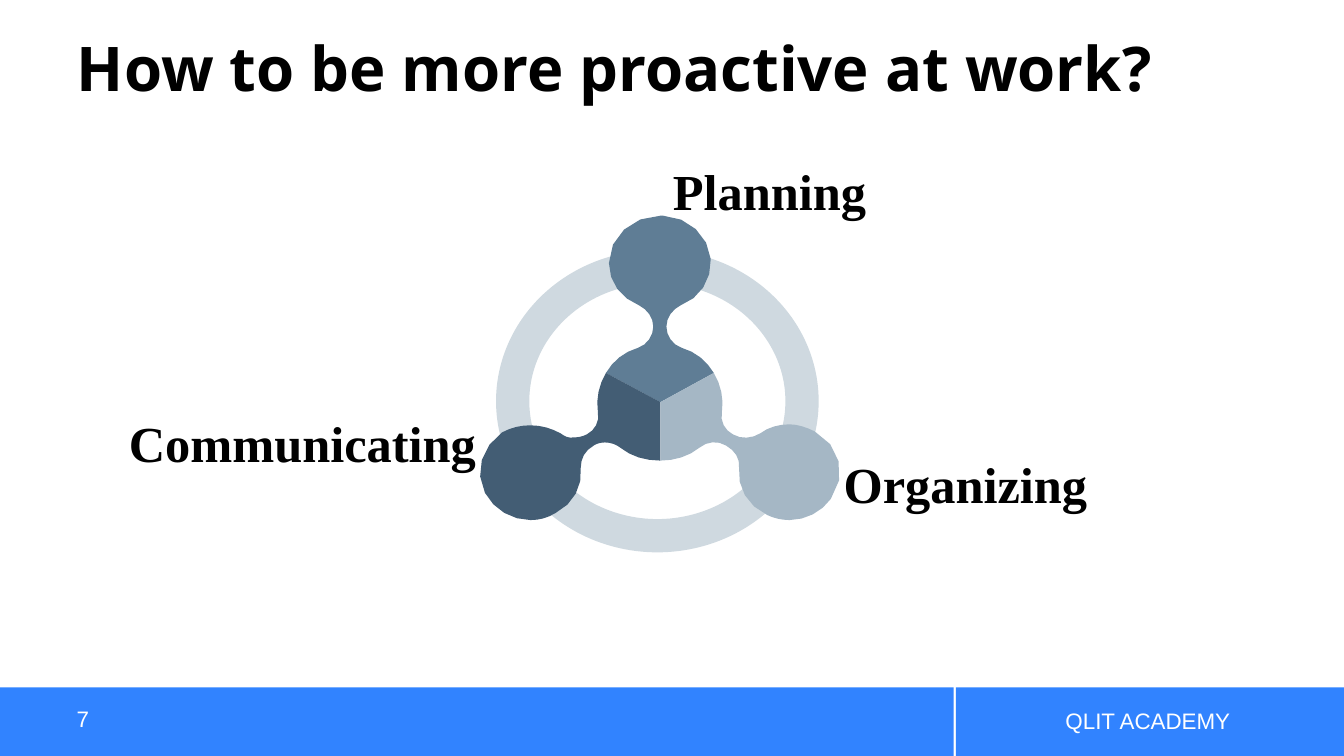
from pptx import Presentation
from pptx.dml.color import RGBColor
from pptx.enum.shapes import MSO_SHAPE
from pptx.enum.text import MSO_ANCHOR, PP_ALIGN
from pptx.util import Inches, Pt

BLUE = RGBColor(0x31, 0x83, 0xFF)
WHITE = RGBColor(0xFF, 0xFF, 0xFF)
BLACK = RGBColor(0, 0, 0)
RING = RGBColor(0xCF, 0xD9, 0xE0)
STEEL = RGBColor(0x5F, 0x7D, 0x95)
NAVY = RGBColor(0x43, 0x5D, 0x74)
MIST = RGBColor(0xA5, 0xB7, 0xC5)
STEPS = 4  # straight pieces per curve


def paint(sp, color):
    sp.shadow.inherit = False
    sp.fill.solid()
    sp.fill.fore_color.rgb = color
    sp.line.fill.background()


def add_text(box, text, size, font, color, align, bold=False, anchor=MSO_ANCHOR.TOP,
             inset=True, spacing=1.0):
    tf = s.shapes.add_textbox(*map(Inches, box)).text_frame
    tf.word_wrap = True
    tf.vertical_anchor = anchor
    if not inset:
        tf.margin_left = tf.margin_right = tf.margin_top = tf.margin_bottom = 0
    p = tf.paragraphs[0]
    p.alignment = align
    p.line_spacing = spacing
    r = p.add_run()
    r.text = text
    r.font.size = Pt(size)
    r.font.name = font
    r.font.bold = bold
    r.font.color.rgb = color


prs = Presentation()
prs.slide_width, prs.slide_height = Inches(13.33), Inches(7.5)
s = prs.slides.add_slide(prs.slide_layouts[6])

# Footer bars
for left, width in ((0, 9.46), (9.48, 3.85)):
    bar = s.shapes.add_shape(MSO_SHAPE.RECTANGLE, Inches(left), Inches(6.82),
                             Inches(width), Inches(0.68))
    paint(bar, BLUE)

# Title and footer text
add_text((0.28, 0.21, 11.64, 1), "How to be more proactive at work?", 44, "Open Sans", BLACK,
         PP_ALIGN.CENTER, True, MSO_ANCHOR.MIDDLE, False, 0.9)
add_text((9.61, 6.95, 3.55, 0.4), "QLIT ACADEMY", 16, "Arial", WHITE,
         PP_ALIGN.CENTER, anchor=MSO_ANCHOR.MIDDLE)
add_text((0.76, 6.95, 7.65, 0.4), "7", 16, "Arial", WHITE,
         PP_ALIGN.LEFT, anchor=MSO_ANCHOR.MIDDLE, inset=False, spacing=0.9)

# Ring behind the three arms
ring = s.shapes.add_shape(MSO_SHAPE.DONUT, Inches(4.92), Inches(2.48), Inches(3.2), Inches(3))
ring.adjustments[0] = 0.11
paint(ring, RING)

# Arms: a start point, then lines (x, y) and Bezier curves (x1, y1, x2, y2, x, y)
planning_arm = [
    (6.55, 2.14), (6.27, 2.14, 6.04, 2.35, 6.04, 2.61), (6.04, 2.8, 6.16, 2.96, 6.34, 3.03),
    (6.42, 3.07, 6.48, 3.15, 6.48, 3.24), (6.48, 3.33, 6.42, 3.42, 6.33, 3.45),
    (6.19, 3.49, 6.08, 3.58, 6.01, 3.7), (6.55, 3.99), (7.08, 3.7),
    (7.01, 3.58, 6.9, 3.49, 6.76, 3.45), (6.67, 3.42, 6.61, 3.33, 6.61, 3.24),
    (6.61, 3.15, 6.67, 3.07, 6.75, 3.03), (6.94, 2.96, 7.06, 2.78, 7.05, 2.57),
    (7.03, 2.34, 6.83, 2.15, 6.58, 2.14)]
communicating_arm = [
    (6.01, 3.7), (5.94, 3.82, 5.91, 3.95, 5.93, 4.09), (5.95, 4.18, 5.9, 4.27, 5.82, 4.31),
    (5.78, 4.33, 5.74, 4.34, 5.69, 4.34), (5.64, 4.35, 5.6, 4.33, 5.56, 4.3),
    (5.47, 4.25, 5.37, 4.22, 5.26, 4.22), (5.17, 4.22, 5.07, 4.24, 4.98, 4.29),
    (4.78, 4.43, 4.7, 4.68, 4.81, 4.89), (4.9, 5.06, 5.08, 5.16, 5.26, 5.16),
    (5.35, 5.16, 5.43, 5.14, 5.51, 5.09), (5.69, 5, 5.78, 4.82, 5.76, 4.64),
    (5.76, 4.55, 5.8, 4.47, 5.89, 4.42), (5.92, 4.4, 5.96, 4.39, 6, 4.39),
    (6.06, 4.39, 6.11, 4.41, 6.15, 4.44), (6.26, 4.53, 6.4, 4.57, 6.55, 4.57), (6.55, 3.99)]
organizing_arm = [
    (7.08, 3.7), (6.55, 3.99), (6.55, 4.57), (6.69, 4.57, 6.83, 4.53, 6.94, 4.44),
    (7.01, 4.38, 7.12, 4.37, 7.2, 4.42), (7.29, 4.47, 7.34, 4.55, 7.33, 4.64),
    (7.31, 4.83, 7.41, 5.02, 7.61, 5.11), (7.67, 5.14, 7.75, 5.16, 7.83, 5.16),
    (7.99, 5.16, 8.15, 5.08, 8.24, 4.95), (8.41, 4.72, 8.33, 4.41, 8.08, 4.28),
    (8, 4.24, 7.91, 4.21, 7.83, 4.21), (7.72, 4.21, 7.62, 4.24, 7.54, 4.3),
    (7.46, 4.35, 7.35, 4.36, 7.27, 4.31), (7.19, 4.27, 7.14, 4.18, 7.16, 4.09),
    (7.18, 3.95, 7.15, 3.82, 7.08, 3.7)]

for arm, color in ((planning_arm, STEEL), (communicating_arm, NAVY), (organizing_arm, MIST)):
    points = [arm[0]]
    for seg in arm[1:]:
        if len(seg) == 2:
            points.append(seg)
            continue
        x0, y0 = points[-1]
        x1, y1, x2, y2, x3, y3 = seg
        for i in range(1, STEPS + 1):
            t = i / STEPS
            a, b, c, d = (1 - t) ** 3, 3 * t * (1 - t) ** 2, 3 * t * t * (1 - t), t ** 3
            points.append((a * x0 + b * x1 + c * x2 + d * x3,
                           a * y0 + b * y1 + c * y2 + d * y3))
    outline = [(Inches(x), Inches(y)) for x, y in points]
    fb = s.shapes.build_freeform(*outline[0])
    fb.add_line_segments(outline[1:], close=True)
    paint(fb.convert_to_shape(), color)

# Labels
for box, label, align in (
        ((6.25, 1.54, 2.44, 0.71), "Planning", PP_ALIGN.RIGHT),
        ((8.27, 4.45, 2.97, 0.71), "Organizing", PP_ALIGN.LEFT),
        ((1.04, 4.04, 3.78, 0.71), "Communicating", PP_ALIGN.RIGHT)):
    add_text(box, label, 36, "Times New Roman", BLACK, align, True)

prs.save("out.pptx")
